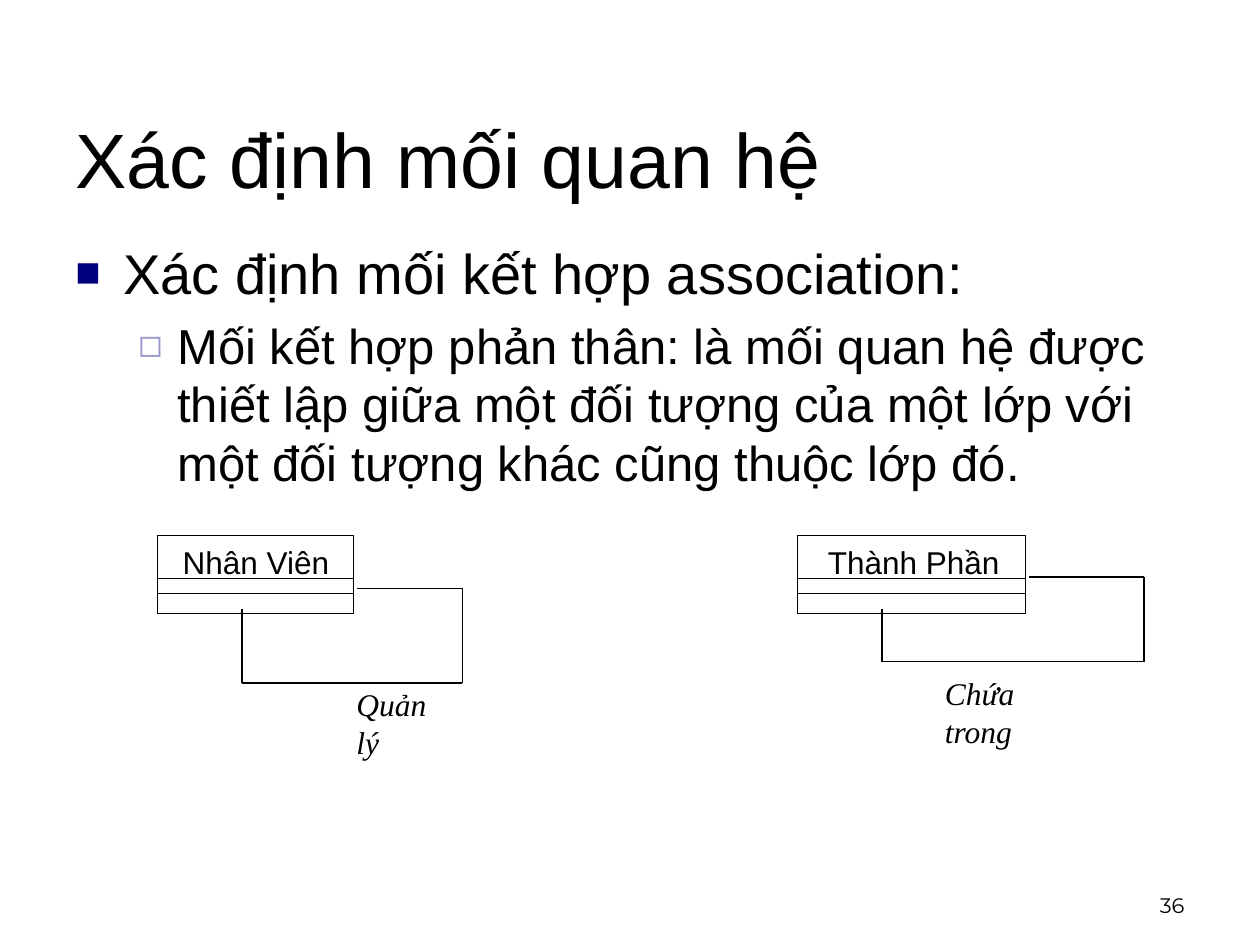
from lxml import etree
from pptx import Presentation
from pptx.dml.color import RGBColor
from pptx.enum.shapes import MSO_CONNECTOR, MSO_SHAPE
from pptx.enum.text import MSO_ANCHOR, PP_ALIGN
from pptx.oxml.ns import qn
from pptx.util import Inches, Pt

RECTANGLE = MSO_SHAPE.RECTANGLE
STRAIGHT = MSO_CONNECTOR.STRAIGHT
MIDDLE, BOTTOM = MSO_ANCHOR.MIDDLE, MSO_ANCHOR.BOTTOM
LEFT, RIGHT = PP_ALIGN.LEFT, PP_ALIGN.RIGHT
BLACK = RGBColor(0x00, 0x00, 0x00)
NAVY = RGBColor(0x00, 0x00, 0x7D)
LAVENDER = RGBColor(0x99, 0x99, 0xCC)


def write(paragraph, text, size, font="Arial", italic=False):
    """Add one black run to a paragraph."""
    run = paragraph.add_run()
    run.text = text
    run.font.size = Pt(size)
    run.font.name = font
    run.font.italic = italic
    run.font.color.rgb = BLACK


def add_text_box(shapes, left, top, width, height, wrap=True):
    """Add a text box and return its text frame."""
    frame = shapes.add_textbox(Inches(left), Inches(top), Inches(width), Inches(height)).text_frame
    frame.word_wrap = wrap
    return frame


prs = Presentation()
prs.slide_width, prs.slide_height = Inches(10), Inches(7.5)
slide = prs.slides.add_slide(prs.slide_layouts[5])

title = slide.shapes.title
title.left, title.top, title.width, title.height = Inches(0.5), Inches(0.5), Inches(9), Inches(1.5)
title.text_frame.vertical_anchor = MIDDLE
heading = title.text_frame.paragraphs[0]
heading.alignment = LEFT
write(heading, "Xác định mối quan hệ", 44)

# Bulleted body: text, size, level, margin, hanging indent, bullet, colour, bullet size in percent
points = [
    ("Xác định mối kết hợp association:", 32, 0, 0.38, 0.38, "■", NAVY, 75),
    ("Mối kết hợp phản thân: là mối quan hệ được thiết lập giữa một đối tượng của một lớp với "
     "một đối tượng khác cũng thuộc lớp đó.", 28, 1, 0.81, 0.31, "◻", LAVENDER, 80),
]
body = add_text_box(slide.shapes, 0.5, 1.84, 9, 4.25)
for index, (text, size, level, margin, hanging, bullet, color, percent) in enumerate(points):
    point = body.add_paragraph() if index else body.paragraphs[0]
    point.level = level
    point.space_before = Pt(size * 0.2)
    write(point, text, size)
    props = point._p.get_or_add_pPr()
    props.set("marL", str(Inches(margin)))
    props.set("indent", str(-Inches(hanging)))
    bullet_color = etree.SubElement(props, qn("a:buClr"))
    etree.SubElement(bullet_color, qn("a:srgbClr"), val=str(color))
    etree.SubElement(props, qn("a:buSzPct"), val=str(percent * 1000))
    etree.SubElement(props, qn("a:buFont"), typeface="Arial")
    etree.SubElement(props, qn("a:buChar"), char=bullet)

page = add_text_box(slide.shapes, 7.17, 6.83, 2.33, 0.5)
page.vertical_anchor = BOTTOM
page.paragraphs[0].alignment = RIGHT
write(page.paragraphs[0], "36", 12, "Montserrat")

# Class boxes: name, left, width, name left, name width
classes = [
    ("Nhân Viên", 1.25, 1.55, 1.45, 1.2),
    ("Thành Phần", 6.33, 1.81, 6.57, 1.45),
]
BOX_BOTTOM = 4.87
for name, left, width, name_left, name_width in classes:
    class_box = slide.shapes.add_group_shape().shapes
    for top in (4.25, 4.59, 4.71):
        section = class_box.add_shape(RECTANGLE, Inches(left), Inches(top),
                                      Inches(width), Inches(BOX_BOTTOM - top))
        section.shadow.inherit = False
        section.fill.background()
        section.line.color.rgb = BLACK
        section.line.width = Pt(0.2)
    label = add_text_box(class_box, name_left, 4.31, name_width, 0.3, wrap=False)
    label.margin_left = label.margin_right = label.margin_top = label.margin_bottom = 0
    write(label.paragraphs[0], name, 18)

# Self-associations: corner points of the loop, then role name and its box
associations = [
    ([(1.92, 4.83), (1.92, 5.42), (3.67, 5.42), (3.67, 4.67), (2.83, 4.67)],
     "Quản lý", (2.73, 5.39, 0.91, 0.4)),
    ([(7, 4.83), (7, 5.25), (9.08, 5.25), (9.08, 4.58), (8.17, 4.58)],
     "Chứa trong", (7.4, 5.3, 1.18, 0.4)),
]
for corners, role, role_box in associations:
    for start, end in zip(corners, corners[1:]):
        segment = slide.shapes.add_connector(STRAIGHT, *map(Inches, start + end))
        segment.line.color.rgb = BLACK
        segment.line.width = Pt(0.75)
        etree.SubElement(segment._element.spPr, qn("a:effectLst"))
    role_label = add_text_box(slide.shapes, *role_box)
    write(role_label.paragraphs[0], role, 18, "Times New Roman", italic=True)

prs.save("out.pptx")
